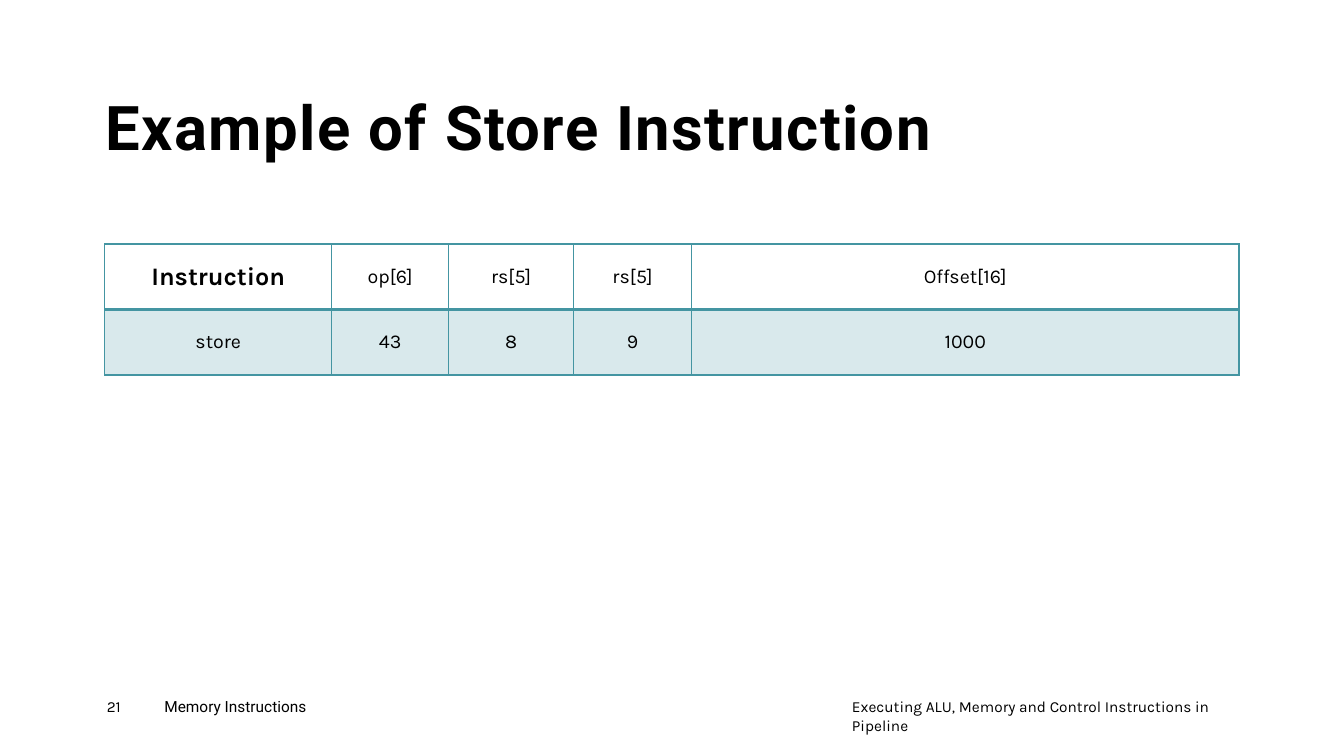
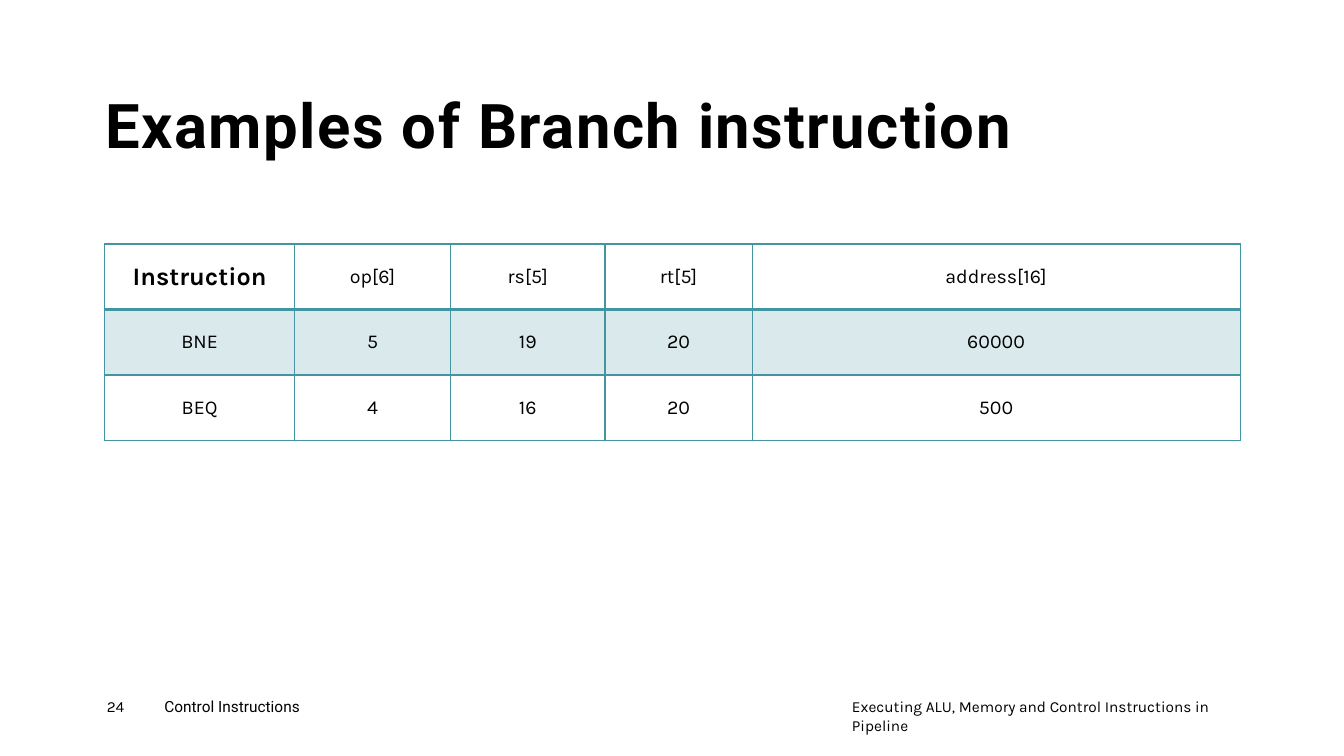
from lxml import etree
from pptx import Presentation
from pptx.dml.color import RGBColor
from pptx.enum.text import MSO_ANCHOR, MSO_AUTO_SIZE, PP_ALIGN
from pptx.oxml.ns import qn
from pptx.util import Inches, Pt

LEFT, CENTER = PP_ALIGN.LEFT, PP_ALIGN.CENTER
TOP, MIDDLE, BOTTOM = MSO_ANCHOR.TOP, MSO_ANCHOR.MIDDLE, MSO_ANCHOR.BOTTOM

# Content
COURSE = "Executing ALU, Memory and Control Instructions in Pipeline"
SLIDES = [
    {
        "title": "Example of Store Instruction",
        "title_top": 0.23,
        "number": "21",
        "section": "Memory Instructions",
        "columns": [2.25, 1.16, 1.24, 1.17, 5.43],
        "rows": [
            ["Instruction", "op[6]", "rs[5]", "rs[5]", "Offset[16]"],
            ["store", "43", "8", "9", "1000"],
        ],
    },
    {
        "title": "Examples of Branch instruction",
        "title_top": 0.21,
        "number": "24",
        "section": "Control Instructions",
        "columns": [1.88, 1.55, 1.53, 1.46, 4.84],
        "rows": [
            ["Instruction", "op[6]", "rs[5]", "rt[5]", "address[16]"],
            ["BNE", "5", "19", "20", "60000"],
            ["BEQ", "4", "16", "20", "500"],
        ],
    },
]

# Shared style
COLORS = {"text": "000000", "teal": "4495A2"}
HEADING, BODY = "Roboto", "Karla"
WIDTH, HEIGHT = 13.33, 7.5
TITLE_LEFT, TITLE_WIDTH, TITLE_HEIGHT = 1.05, 11.25, 1.4
TABLE_LEFT, TABLE_TOP, ROW_HEIGHT = 1.04, 2.42, 0.65
FOOTER_TOP, FOOTER_HEIGHT = 6.92, 0.27
BAND_OPACITY = 20  # percent


def write(frame, text, size, font=BODY, bold=False, align=LEFT,
          spacing=None, line_spacing=None):
    para = frame.paragraphs[0]
    para.alignment = align
    if line_spacing:
        para.line_spacing = line_spacing
    span = para.add_run()
    span.text = text
    span.font.name, span.font.size, span.font.bold = font, Pt(size), bold
    span.font.color.rgb = RGBColor.from_string(COLORS["text"])
    if spacing:
        span._r.get_or_add_rPr().set("spc", str(spacing * 100))


def prepare_frame(frame, anchor):
    frame.word_wrap = True
    frame.auto_size = MSO_AUTO_SIZE.NONE
    frame.vertical_anchor = anchor
    frame.margin_left = frame.margin_right = 0
    frame.margin_top = frame.margin_bottom = 0


def add_title(page, text, top):
    title = page.shapes.title
    title.left, title.top = Inches(TITLE_LEFT), Inches(top)
    title.width, title.height = Inches(TITLE_WIDTH), Inches(TITLE_HEIGHT)
    prepare_frame(title.text_frame, BOTTOM)
    write(title.text_frame, text, 44, font=HEADING, bold=True,
          spacing=1, line_spacing=0.9)


def add_footer(page, number, section):
    for text, left, width, font in [
        (number, 1.06, 0.57, BODY),
        (section, 1.63, 1.64, HEADING),
        (COURSE, 8.45, 3.82, BODY),
    ]:
        box = page.shapes.add_textbox(Inches(left), Inches(FOOTER_TOP),
                                      Inches(width), Inches(FOOTER_HEIGHT))
        prepare_frame(box.text_frame, TOP)
        write(box.text_frame, text, 11, font=font)


def set_borders(cell, bottom):
    properties = cell._tc.get_or_add_tcPr()
    widths = {"lnL": 1, "lnR": 1, "lnT": 1, "lnB": bottom}
    for position, (side, points) in enumerate(widths.items()):
        line = etree.Element(qn(f"a:{side}"), w=str(Pt(points)))
        fill = etree.SubElement(line, qn("a:solidFill"))
        etree.SubElement(fill, qn("a:srgbClr"), val=COLORS["teal"])
        properties.insert(position, line)


def shade(cell):
    cell.fill.solid()
    cell.fill.fore_color.rgb = RGBColor.from_string(COLORS["teal"])
    color = cell._tc.tcPr.find(qn("a:solidFill")).find(qn("a:srgbClr"))
    etree.SubElement(color, qn("a:alpha"), val=str(BAND_OPACITY * 1000))


def add_format_table(page, columns, rows):
    table = page.shapes.add_table(
        len(rows), len(columns), Inches(TABLE_LEFT), Inches(TABLE_TOP),
        Inches(sum(columns)), Inches(ROW_HEIGHT * len(rows))).table
    table.first_row = table.horz_banding = False
    for column, width in zip(table.columns, columns):
        column.width = Inches(width)
    for r, values in enumerate(rows):
        table.rows[r].height = Inches(ROW_HEIGHT)
        for c, value in enumerate(values):
            cell = table.cell(r, c)
            cell.vertical_anchor = MIDDLE
            corner = r == c == 0
            write(cell.text_frame, value, 18 if corner else 14,
                  bold=corner, align=CENTER)
            # Odd rows are tinted, the others stay clear
            if r % 2:
                shade(cell)
            else:
                cell.fill.background()
            set_borders(cell, bottom=1 if r else 2)


def main():
    deck = Presentation()
    deck.slide_width, deck.slide_height = Inches(WIDTH), Inches(HEIGHT)
    title_only = deck.slide_layouts.get_by_name("Title Only")
    for content in SLIDES:
        page = deck.slides.add_slide(title_only)
        add_title(page, content["title"], content["title_top"])
        add_format_table(page, content["columns"], content["rows"])
        add_footer(page, content["number"], content["section"])
    deck.save("out.pptx")


if __name__ == "__main__":
    main()
